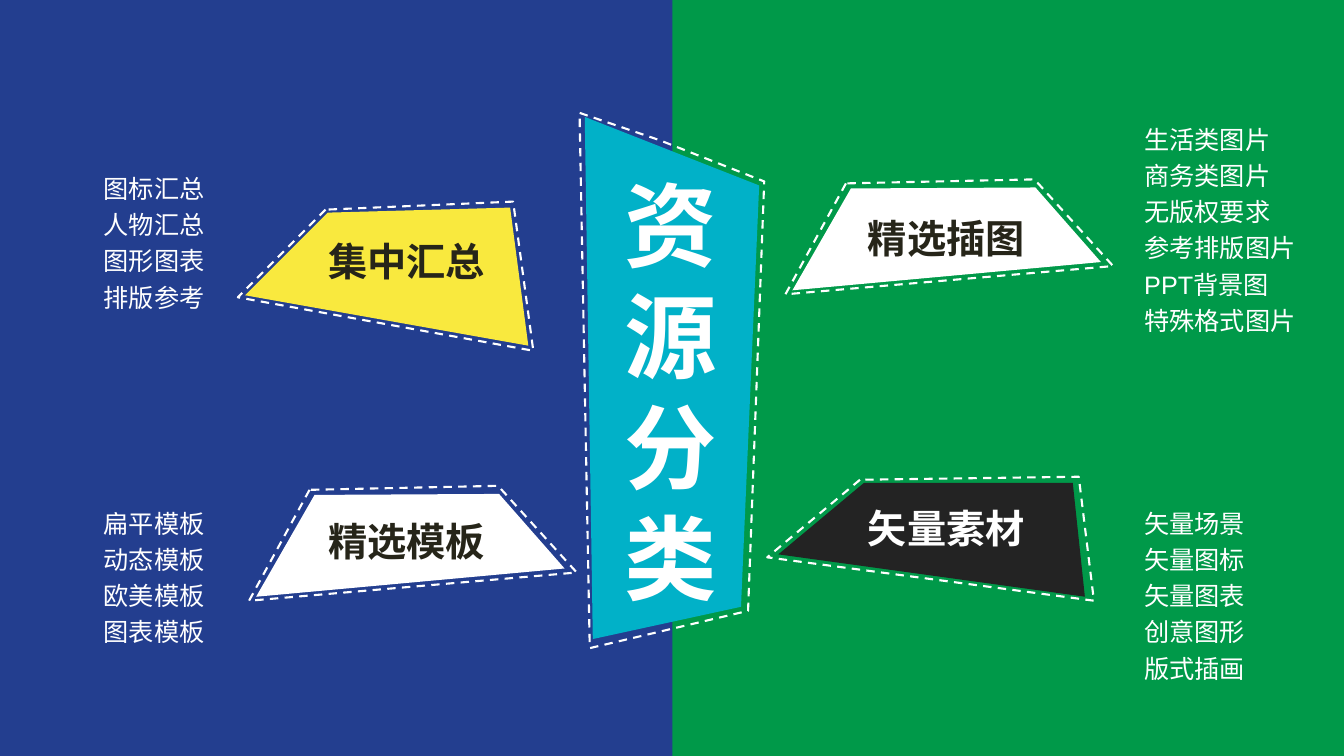
from pptx import Presentation
from pptx.dml.color import RGBColor
from pptx.enum.dml import MSO_LINE
from pptx.enum.shapes import MSO_SHAPE
from pptx.enum.text import MSO_AUTO_SIZE
from pptx.util import Pt

PX = 9144  # EMU in one px, 100 px to the inch
PAGE_WIDTH, PAGE_HEIGHT = 1333, 750

BLUE = RGBColor(0x23, 0x3E, 0x8F)
GREEN = RGBColor(0x00, 0x99, 0x49)
CYAN = RGBColor(0x01, 0xB1, 0xC8)
YELLOW = RGBColor(0xF9, 0xE9, 0x3E)
BLACK = RGBColor(0x23, 0x23, 0x23)
INK = RGBColor(0x26, 0x25, 0x19)
WHITE = RGBColor(0xFF, 0xFF, 0xFF)

# Each panel: corners of the filled patch, corners of the dashed stitching
TITLE_PANEL = ([(13, 522), (160, 490), (178, 72), (5, 4)],
               [(0, 0), (79, 27), (183, 68), (167, 494), (10, 531), (0, 9)])
SUMMARY_PANEL = ([(7, 93), (89, 11), (270, 6), (288, 143)],
                 [(87, 8), (0, 95), (293, 148), (273, 0)])
WHITE_PANEL = ([(65, 9), (7, 110), (313, 82), (248, 8)],
               [(60, 4), (0, 114), (325, 86), (247, 0)])
VECTOR_PANEL = ([(96, 6), (11, 77), (315, 119), (303, 6)],
                [(92, 3), (0, 80), (324, 123), (309, 0)])

# Panel place, panel, fill, label, label offset, label colour
CATEGORIES = [
    ((236, 200), SUMMARY_PANEL, YELLOW, "集中汇总", (80, 31), INK),
    ((247, 482), WHITE_PANEL, WHITE, "精选模板", (69, 26), INK),
    ((779, 178), WHITE_PANEL, WHITE, "精选插图", (72, 30), INK),
    ((761, 473), VECTOR_PANEL, BLACK, "矢量素材", (90, 22), WHITE),
]

# Box of each list (left, top, width, height) and its lines
TOPICS = [
    ((93, 161, 121, 156), ["图标汇总", "人物汇总", "图形图表", "排版参考"]),
    ((93, 493, 121, 156), ["扁平模板", "动态模板", "欧美模板", "图表模板"]),
    ((1125, 112, 172, 228), ["生活类图片", "商务类图片", "无版权要求",
                             "参考排版图片", "PPT背景图", "特殊格式图片"]),
    ((1125, 493, 121, 192), ["矢量场景", "矢量图标", "矢量图表",
                             "创意图形", "版式插画"]),
]


def add_outline(page, place, corners):
    left, top = place
    points = [(left + x, top + y) for x, y in corners]
    builder = page.shapes.build_freeform(*points[0], scale=PX)
    builder.add_line_segments(points[1:], close=True)
    shape = builder.convert_to_shape()
    shape.shadow.inherit = False
    return shape


def add_panel(page, place, panel, color):
    """A filled patch with a dashed white stitch line around it."""
    patch_corners, stitch_corners = panel
    patch = add_outline(page, place, patch_corners)
    patch.fill.solid()
    patch.fill.fore_color.rgb = color
    patch.line.fill.background()

    stitch = add_outline(page, place, stitch_corners)
    stitch.fill.background()
    stitch.line.color.rgb = WHITE
    stitch.line.width = Pt(1.5)
    stitch.line.dash_style = MSO_LINE.DASH


def add_text(page, box, lines, size, color, bold=False, spacing=None):
    frame = page.shapes.add_textbox(*(length * PX for length in box)).text_frame
    frame.word_wrap = False
    frame.auto_size = MSO_AUTO_SIZE.SHAPE_TO_FIT_TEXT
    frame.text = "\n".join(lines)
    for para in frame.paragraphs:
        para.line_spacing = spacing
        para.font.name = "Arial"
        para.font.size = Pt(size)
        para.font.bold = bold
        para.font.color.rgb = color


def add_background(page):
    page.background.fill.solid()
    page.background.fill.fore_color.rgb = GREEN
    half = page.shapes.add_shape(MSO_SHAPE.RECTANGLE, 0, 0,
                                 667 * PX, PAGE_HEIGHT * PX)
    half.shadow.inherit = False
    half.fill.solid()
    half.fill.fore_color.rgb = BLUE
    half.line.fill.background()


def add_title(page, place):
    left, top = place
    add_panel(page, place, TITLE_PANEL, CYAN)
    add_text(page, (left + 35, top + 50, 113, 454), "资源分类", 66, WHITE, bold=True)


def add_category(page, place, panel, fill, label, offset, color):
    add_panel(page, place, panel, fill)
    box = (place[0] + offset[0], place[1] + offset[1], 177, 57)
    add_text(page, box, [label], 28, color, bold=True)


def main():
    deck = Presentation()
    deck.slide_width, deck.slide_height = PAGE_WIDTH * PX, PAGE_HEIGHT * PX
    page = deck.slides.add_slide(deck.slide_layouts[6])
    add_background(page)
    add_title(page, (575, 112))
    for category in CATEGORIES:
        add_category(page, *category)
    for box, lines in TOPICS:
        add_text(page, box, lines, 18, WHITE, spacing=1.2)
    deck.save("out.pptx")


if __name__ == "__main__":
    main()
